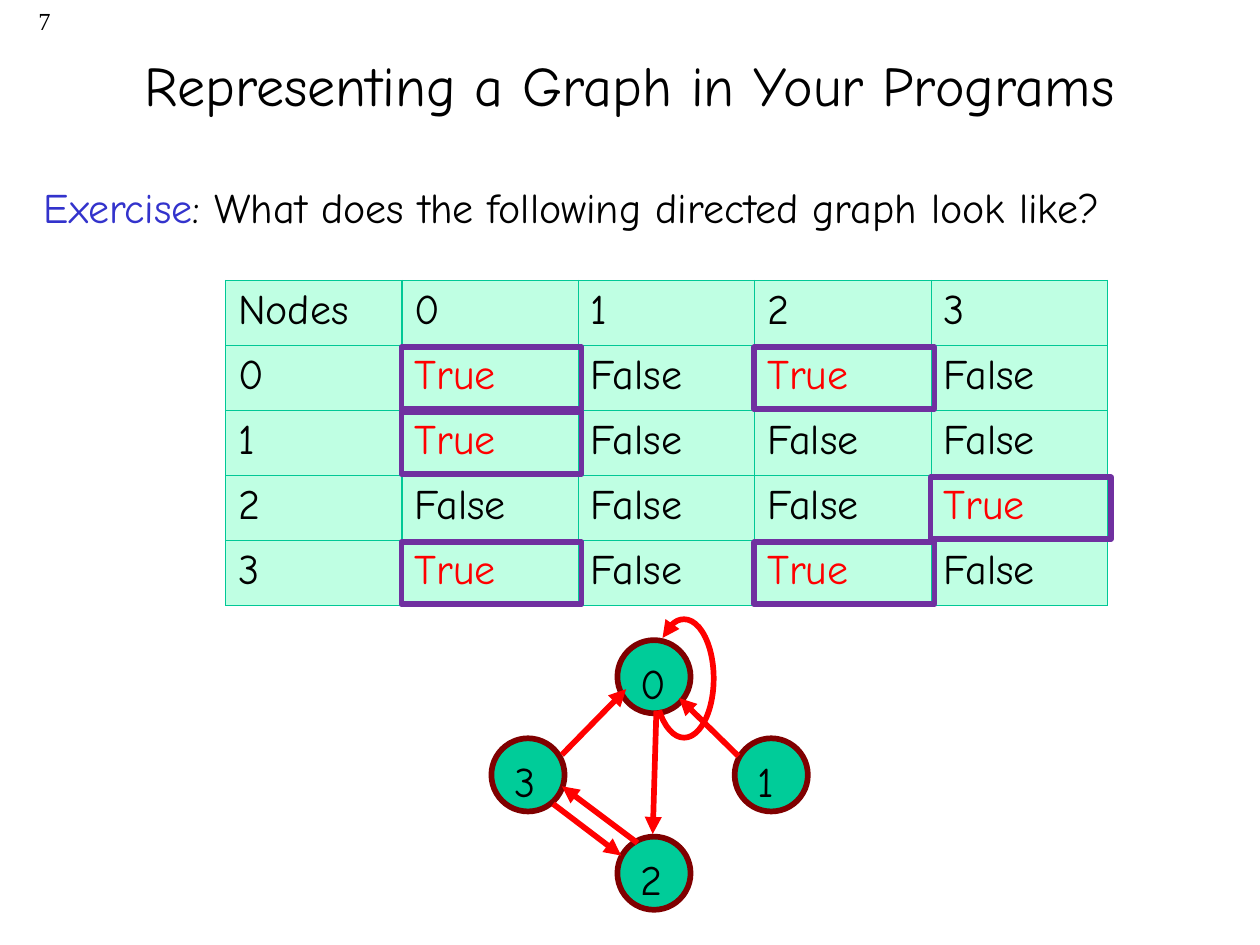
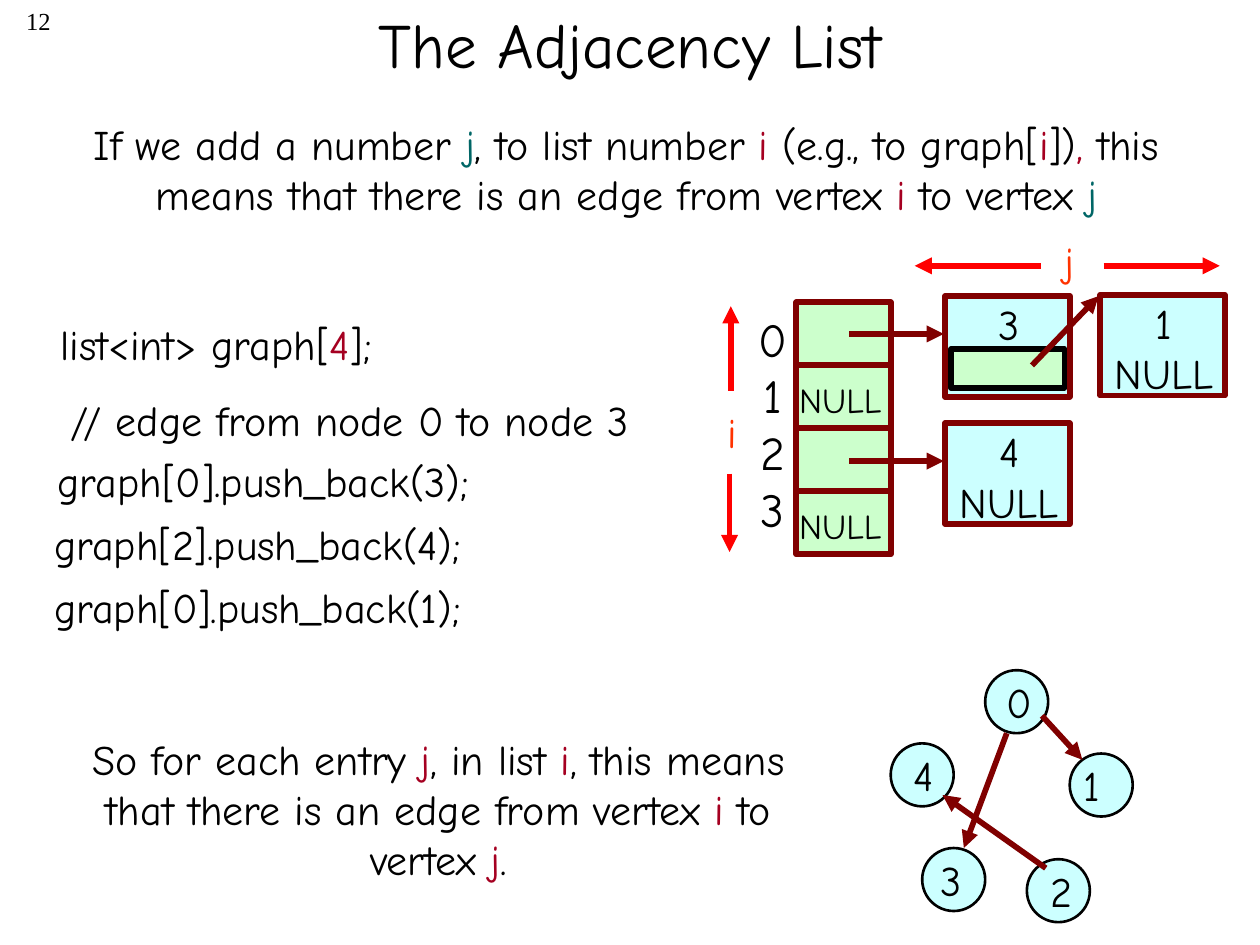
from dataclasses import dataclass
from typing import NamedTuple

from lxml import etree
from pptx import Presentation
from pptx import util as u
from pptx.dml.color import RGBColor
from pptx.enum import shapes, text
from pptx.oxml.ns import qn


@dataclass(frozen=True)
class Theme:
    font: str = "Comic Neue"
    number_font: str = "Times New Roman"
    black: str = "000000"
    red: str = "FF0000"
    orange: str = "FF3300"
    blue: str = "3333CC"
    crimson: str = "A50021"
    teal: str = "006666"
    maroon: str = "800000"
    purple: str = "7030A0"
    green: str = "00CC99"
    mint: str = "BFFFE3"
    grid: str = "00C896"
    pale_blue: str = "CCFFFF"
    pale_green: str = "CCFFCC"
    body: float = 24
    index: float = 27
    small: float = 20
    number: float = 14
    heavy: float = 3.25
    thin: float = 1.5
    hairline: float = 0.75


THEME = Theme()


class Box(NamedTuple):
    left: float
    top: float
    width: float
    height: float

    def points(self) -> list:
        return [u.Pt(length) for length in self]


class Run(NamedTuple):
    words: str
    color: str = THEME.black


class Arrow(NamedTuple):
    x1: float
    y1: float
    x2: float
    y2: float
    color: str = THEME.maroon


class Vertex(NamedTuple):
    label: str
    left: float
    top: float
    label_shift: float = 0


class ListNode(NamedTuple):
    lines: tuple
    left: float
    top: float


class CodeLine(NamedTuple):
    runs: tuple
    left: float
    top: float
    width: float


def write(frame, lines, size: float = THEME.body, align=text.PP_ALIGN.LEFT,
          font_name: str = THEME.font) -> None:
    for number, runs in enumerate(lines):
        paragraph = frame.paragraphs[0] if number == 0 else frame.add_paragraph()
        paragraph.alignment = align
        for words, color in runs:
            run = paragraph.add_run()
            run.text = words
            run.font.color.rgb = RGBColor.from_string(color)
        for font in (paragraph.font, *(run.font for run in paragraph.runs)):
            font.name, font.size = font_name, u.Pt(size)


def add_text(slide, box: Box, lines, wrap: bool = False, grow: bool = True, **style) -> None:
    frame = slide.shapes.add_textbox(*box.points()).text_frame
    frame.word_wrap = wrap
    frame.auto_size = text.MSO_AUTO_SIZE.SHAPE_TO_FIT_TEXT if grow else text.MSO_AUTO_SIZE.NONE
    write(frame, lines, **style)


def add_shape(slide, kind, box: Box, line: str, fill: str = "", weight: float = THEME.heavy):
    shape = slide.shapes.add_shape(kind, *box.points())
    shape.shadow.inherit = False
    if fill:
        shape.fill.solid()
        shape.fill.fore_color.rgb = RGBColor.from_string(fill)
    else:
        shape.fill.background()
    shape.line.color.rgb = RGBColor.from_string(line)
    shape.line.width = u.Pt(weight)
    return shape


def add_arrowhead(shape, end: str) -> None:
    line = shape.element.spPr.find(qn("a:ln"))
    etree.SubElement(line, qn(f"a:{end}"), type="triangle")


def add_arrow(slide, arrow: Arrow) -> None:
    ends = [u.Pt(length) for length in arrow[:4]]
    connector = slide.shapes.add_connector(shapes.MSO_CONNECTOR.STRAIGHT, *ends)
    connector.line.color.rgb = RGBColor.from_string(arrow.color)
    connector.line.width = u.Pt(THEME.heavy)
    add_arrowhead(connector, "tailEnd")
    etree.SubElement(connector.element.spPr, qn("a:effectLst"))


def add_titled_slide(presentation, title: str, number: str, top: float, size: float,
                     bottom_margin: float = 3.6):
    slide = presentation.slides.add_slide(presentation.slide_layouts[5])
    add_text(slide, Box(-113.8, 0, 149.8, 36), [[Run(number)]], wrap=True, grow=False,
             size=THEME.number, align=text.PP_ALIGN.RIGHT, font_name=THEME.number_font)
    shape = slide.shapes.title
    shape.left, shape.top, shape.width, shape.height = Box(54, top, 612, 90).points()
    frame = shape.text_frame
    frame.auto_size = text.MSO_AUTO_SIZE.NONE
    frame.vertical_anchor = text.MSO_ANCHOR.MIDDLE
    frame.margin_bottom = u.Pt(bottom_margin)
    write(frame, [[Run(title)]], size=size, align=text.PP_ALIGN.CENTER)
    return slide


MATRIX = Box(128.9, 160.2, 504, 185.75)
MATRIX_SIZE = 5
COLUMN, ROW = MATRIX.width / MATRIX_SIZE, MATRIX.height / MATRIX_SIZE
EDGES = [(0, 0), (0, 2), (1, 0), (2, 3), (3, 0), (3, 2)]


def matrix_entry(row: int, column: int) -> Run:
    if row == 0:
        return Run(str(column - 1) if column else "Nodes")
    if column == 0:
        return Run(str(row - 1))
    return Run("True", THEME.red) if (row - 1, column - 1) in EDGES else Run("False")


def format_cell(cell, entry: Run) -> None:
    write(cell.text_frame, [[entry]])
    properties = cell._tc.get_or_add_tcPr()
    for side in ("lnL", "lnR", "lnT", "lnB"):
        border = etree.SubElement(properties, qn(f"a:{side}"), w=str(u.Pt(THEME.hairline)))
        fill = etree.SubElement(border, qn("a:solidFill"))
        etree.SubElement(fill, qn("a:srgbClr"), val=THEME.grid)
    cell.fill.solid()
    cell.fill.fore_color.rgb = RGBColor.from_string(THEME.mint)


def add_matrix(slide) -> None:
    table = slide.shapes.add_table(MATRIX_SIZE, MATRIX_SIZE, *MATRIX.points()).table
    table.first_row = table.horz_banding = False
    for column in table.columns:
        column.width = u.Pt(COLUMN)
    for row_number, row in enumerate(table.rows):
        row.height = u.Pt(ROW)
        for column_number, cell in enumerate(row.cells):
            format_cell(cell, matrix_entry(row_number, column_number))
    for start, end in EDGES:
        box = Box(MATRIX.left + (end + 1) * COLUMN - 0.3,
                  MATRIX.top + (start + 1) * ROW + 1.1, 103, 35.3)
        add_shape(slide, shapes.MSO_SHAPE.RECTANGLE, box, THEME.purple)


def build_matrix_slide(presentation) -> None:
    slide = add_titled_slide(presentation, "Representing a Graph in Your Programs", "7",
                             top=22.3, size=32, bottom_margin=42.4)
    add_text(slide, Box(18, 100, 691, 36), [[
        Run("Exercise", THEME.blue),
        Run(": What does the following directed graph look like?")]])
    add_matrix(slide)

    for vertex in (Vertex("3", 280.8, 421.9), Vertex("0", 352.8, 365.8),
                   Vertex("1", 419.8, 421.9), Vertex("2", 352.8, 478.1)):
        circle = add_shape(slide, shapes.MSO_SHAPE.OVAL, Box(vertex.left, vertex.top, 41.8, 41.8),
                           THEME.maroon, THEME.green)
        circle.text_frame.word_wrap = False
        circle.text_frame.vertical_anchor = text.MSO_ANCHOR.TOP
        write(circle.text_frame, [[Run(vertex.label)]])

    self_loop = add_shape(slide, shapes.MSO_SHAPE.ARC, Box(357.1, 370.8, 67.7, 33.8), THEME.red)
    self_loop.rotation = 270
    self_loop.adjustments[0], self_loop.adjustments[1] = 199.2, 130.8
    add_arrowhead(self_loop, "headEnd")

    for ends in ((375.1, 406.1, 373, 476.6), (421.9, 432, 388.1, 398.9),
                 (364.3, 481.7, 321.1, 449.3), (321.1, 431.3, 357.8, 393.8),
                 (316.1, 459.4, 355, 488.9)):
        add_arrow(slide, Arrow(*ends, THEME.red))


def add_code(slide) -> None:
    for line in (
        CodeLine((Run("list<int> graph["), Run("4", THEME.crimson), Run("];")), 27.4, 178.6, 211.7),
        CodeLine((Run("// edge from node 0 to node 3"),), 33.1, 221.8, 355),
        CodeLine((Run("graph[0].push_back(3);"),), 25.9, 257, 273.6),
        CodeLine((Run("graph[2].push_back(4);"),), 23.8, 293, 273.6),
        CodeLine((Run("graph[0].push_back(1);"),), 23.8, 329, 269.3),
    ):
        add_text(slide, Box(line.left, line.top, line.width, 36), [line.runs])


def add_adjacency_list(slide) -> None:
    rectangle = shapes.MSO_SHAPE.RECTANGLE
    for index in range(4):
        top = 172.8 + 36 * index
        add_shape(slide, rectangle, Box(455, top, 54, 36), THEME.maroon, THEME.pale_green)
        if index in (1, 3):
            add_text(slide, Box(449.6, top + 4, 67, 31), [[Run("NULL")]], size=THEME.small)
    add_text(slide, Box(426.2, 173.5, 31, 136.8), [[Run(str(index))] for index in range(4)],
             size=THEME.index, align=text.PP_ALIGN.CENTER)

    for node in (ListNode(("3",), 540, 169.2), ListNode(("4", "NULL"), 540, 241.9),
                 ListNode(("1", "NULL"), 628.6, 168.5)):
        add_shape(slide, rectangle, Box(node.left, node.top, 71.3, 57.6),
                  THEME.maroon, THEME.pale_blue)
        add_text(slide, Box(node.left - 2.2, node.top - 2.2, 77.8, 64.8),
                 [[Run(line)] for line in node.lines], align=text.PP_ALIGN.CENTER)
    add_shape(slide, rectangle, Box(543.6, 199.4, 64.8, 22.3), THEME.black, THEME.pale_green)

    for label, box in (("i", Box(407.5, 229, 21.6, 36)), ("j", Box(599, 131, 24.5, 36))):
        add_text(slide, box, [[Run(label, THEME.orange)]], align=text.PP_ALIGN.CENTER)
    for arrow in (
        Arrow(485.3, 190.8, 539.3, 190.8),
        Arrow(485.3, 263.5, 539.3, 263.5),
        Arrow(589.7, 208.8, 627.8, 169.2),
        Arrow(417.6, 223.2, 417.6, 175, THEME.red),
        Arrow(416.9, 270.7, 416.9, 315.4, THEME.red),
        Arrow(630.7, 151.9, 697, 151.9, THEME.red),
        Arrow(594.7, 151.9, 522.7, 151.9, THEME.red),
    ):
        add_arrow(slide, arrow)


def add_list_graph(slide) -> None:
    for vertex in (Vertex("0", 563, 383, 5), Vertex("1", 611.3, 430.6, 0.7),
                   Vertex("2", 586.8, 491, 6.5), Vertex("3", 527, 484.6, 3.6),
                   Vertex("4", 509, 424.8, 5.8)):
        add_shape(slide, shapes.MSO_SHAPE.OVAL, Box(vertex.left, vertex.top, 36, 36),
                  THEME.black, THEME.pale_blue, THEME.thin)
        add_text(slide, Box(vertex.left + vertex.label_shift, vertex.top, 28.8, 36),
                 [[Run(vertex.label)]])
    for arrow in (Arrow(575.3, 419, 550.8, 484.6), Arrow(597.6, 496.1, 538.6, 454.3),
                  Arrow(595.4, 409, 618.5, 434.2)):
        add_arrow(slide, arrow)


def build_list_slide(presentation) -> None:
    slide = add_titled_slide(presentation, "The Adjacency List", "12", top=-20.2, size=36)
    add_code(slide)
    add_list_graph(slide)
    add_adjacency_list(slide)
    add_text(slide, Box(23.8, 64.1, 668.2, 65.5), [[
        Run("If we add a number "), Run("j", THEME.teal), Run(", to list number "),
        Run("i ", THEME.crimson), Run("(e.g., to graph["), Run("i", THEME.crimson), Run("])"),
        Run(", ", THEME.crimson), Run("this means that there is an edge from vertex "),
        Run("i", THEME.crimson), Run(" to vertex "), Run("j", THEME.teal),
    ]], wrap=True, align=text.PP_ALIGN.CENTER)
    add_text(slide, Box(41, 415.4, 419, 93.6), [[
        Run("So for each entry "), Run("j", THEME.crimson), Run(", in list "),
        Run("i", THEME.crimson), Run(", this means that there is an edge from vertex "),
        Run("i ", THEME.crimson), Run("to vertex "), Run("j", THEME.crimson), Run("."),
    ]], wrap=True, align=text.PP_ALIGN.CENTER)


def main() -> None:
    presentation = Presentation()
    presentation.slide_width, presentation.slide_height = u.Pt(720), u.Pt(540)
    build_matrix_slide(presentation)
    build_list_slide(presentation)
    presentation.save("out.pptx")


if __name__ == "__main__":
    main()
